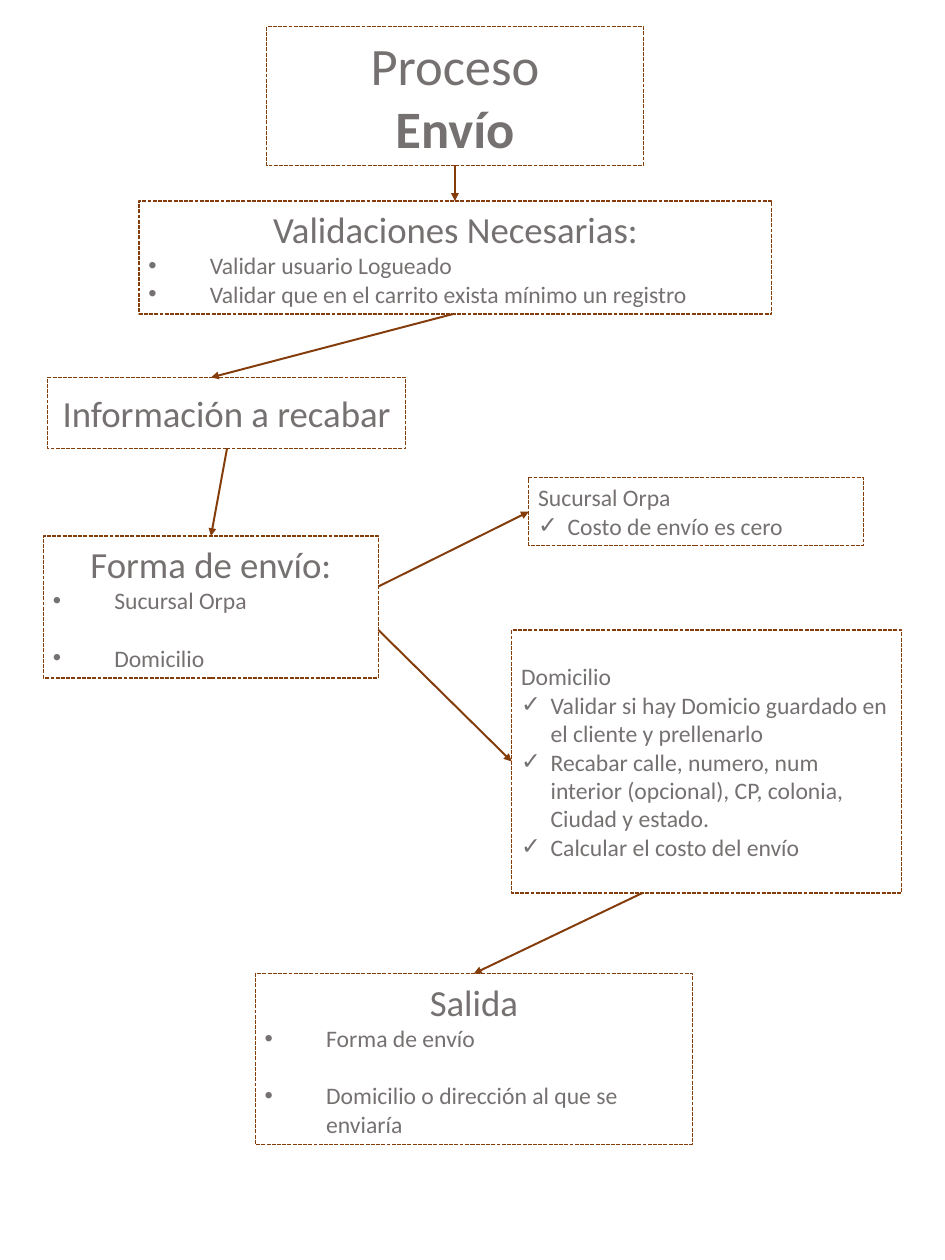
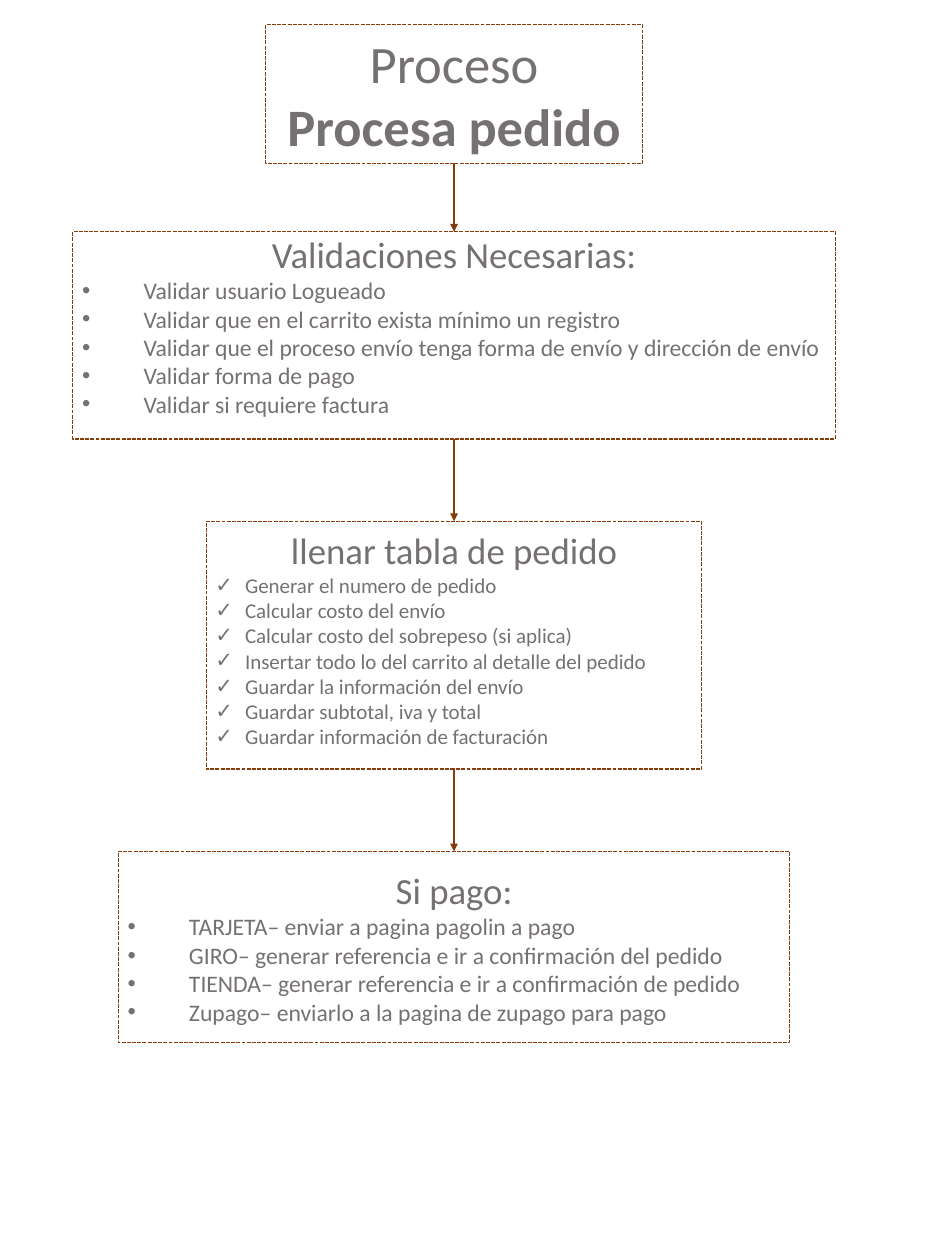
from lxml import etree
from pptx import Presentation
from pptx.dml.color import RGBColor
from pptx.enum.dml import MSO_LINE
from pptx.enum.shapes import MSO_CONNECTOR, MSO_SHAPE
from pptx.enum.text import MSO_ANCHOR, PP_ALIGN
from pptx.oxml.ns import qn
from pptx.util import Pt

RECTANGLE = MSO_SHAPE.RECTANGLE
STRAIGHT = MSO_CONNECTOR.STRAIGHT
DASH = MSO_LINE.SQUARE_DOT
MIDDLE = MSO_ANCHOR.MIDDLE
LEFT, CENTER = PP_ALIGN.LEFT, PP_ALIGN.CENTER

BROWN = RGBColor.from_string("843C0B")
GRAY = RGBColor.from_string("767171")
FONT = "Calibri"
INSET = 3.6
BLANK_LINE = 22
TITLE_WIDTH, TITLE_HEIGHT = 286.6, 106

# style: size, bold, alignment, bullet, indent, space before
STYLES = {
    "title": (40, False, CENTER, None, 0, 0),
    "name": (40, True, CENTER, None, 0, 0),
    "heading": (28, False, CENTER, None, 0, 0),
    "plain": (18, False, LEFT, None, 0, 0),
    "dot": (18, False, LEFT, "•", 46.8, 0),
    "spaced dot": (18, False, LEFT, "•", 46.8, BLANK_LINE),
    "check": (18, False, LEFT, "✓", 22.5, 0),
    "small check": (16, False, LEFT, "✓", 22.5, 0),
}


def add_box(page, left, top, width, height, lines, room_below=0):
    """Add a dashed box; room_below is free space kept under its text."""
    box = page.shapes.add_shape(RECTANGLE, Pt(left), Pt(top), Pt(width), Pt(height))
    box.shadow.inherit = False
    box.fill.background()
    box.line.color.rgb = BROWN
    box.line.width = Pt(1)
    box.line.dash_style = DASH
    frame = box.text_frame
    frame.word_wrap = True
    frame.vertical_anchor = MIDDLE
    frame.margin_bottom = Pt(INSET + room_below)
    for number, (style, text) in enumerate(lines):
        size, bold, alignment, bullet, indent, before = STYLES[style]
        para = frame.add_paragraph() if number else frame.paragraphs[0]
        para.alignment = alignment
        para.space_before = Pt(before)
        if bullet:
            properties = para._p.get_or_add_pPr()
            properties.set("marL", str(Pt(indent)))
            properties.set("indent", str(-Pt(indent)))
            etree.SubElement(properties, qn("a:buFont")).set("typeface", "Arial")
            etree.SubElement(properties, qn("a:buChar")).set("char", bullet)
        span = para.add_run()
        span.text = text
        span.font.name = FONT
        span.font.size = Pt(size)
        span.font.bold = bold
        span.font.color.rgb = GRAY


def add_arrow(page, x1, y1, x2, y2):
    arrow = page.shapes.add_connector(STRAIGHT, Pt(x1), Pt(y1), Pt(x2), Pt(y2))
    arrow.line.color.rgb = BROWN
    arrow.line.width = Pt(1.5)
    etree.SubElement(arrow.line._get_or_add_ln(), qn("a:tailEnd")).set("type", "triangle")
    etree.SubElement(arrow._element.spPr, qn("a:effectLst"))


deck = Presentation()
deck.slide_width = Pt(719.3)
deck.slide_height = Pt(959)
blank = deck.slide_layouts[6]

# Shipping process
shipping = deck.slides.add_slide(blank)
shipping_boxes = [
    (203, 20, TITLE_WIDTH, TITLE_HEIGHT, [("title", "Proceso"), ("name", "Envío")]),
    (105.8, 153, 481.7, 86, [
        ("heading", "Validaciones Necesarias:"),
        ("dot", "Validar usuario Logueado"),
        ("dot", "Validar que en el carrito exista mínimo un registro"),
    ]),
    (36, 287.3, 272.9, 54, [("heading", "Información a recabar")]),
    (33.1, 408, 254.9, 108, [
        ("heading", "Forma de envío:"),
        ("dot", "Sucursal Orpa"),
        ("spaced dot", "Domicilio"),
    ]),
    (402.5, 363.5, 254.9, 51.5, [
        ("plain", "Sucursal Orpa"),
        ("check", "Costo de envío es cero"),
    ]),
    (389.5, 479.5, 296.6, 200.2, [
        ("plain", "Domicilio"),
        ("check", "Validar si hay Domicio guardado en el cliente y prellenarlo"),
        ("check", "Recabar calle, numero, num interior (opcional), CP, colonia, Ciudad y estado."),
        ("check", "Calcular el costo del envío"),
    ]),
    (194.4, 741, 332.6, 130, [
        ("heading", "Salida"),
        ("dot", "Forma de envío"),
        ("spaced dot", "Domicilio o dirección al que se enviaría"),
    ]),
]
for left, top, width, height, lines in shipping_boxes:
    add_box(shipping, left, top, width, height, lines)

shipping_arrows = [
    (346.3, 126, 346.3, 153),
    (344.9, 239, 160.6, 287.3),
    (172.8, 341.3, 160.6, 408),
    (288, 446.4, 402.5, 389.5),
    (288, 479.5, 389.5, 579.6),
    (488.9, 679.7, 360.7, 741),
]
for ends in shipping_arrows:
    add_arrow(shipping, *ends)

# Order process: one column, every box centred on the same axis
order = deck.slides.add_slide(blank)
order_steps = [
    (18.6, TITLE_WIDTH, TITLE_HEIGHT, 0, [("title", "Proceso"), ("name", "Procesa pedido")]),
    (176.4, 580.3, 157.7, 16, [
        ("heading", "Validaciones Necesarias:"),
        ("dot", "Validar usuario Logueado"),
        ("dot", "Validar que en el carrito exista mínimo un registro"),
        ("dot", "Validar que el proceso envío tenga forma de envío y dirección de envío"),
        ("dot", "Validar forma de pago"),
        ("dot", "Validar si requiere factura"),
    ]),
    (396.7, 377.3, 188.6, 10, [
        ("heading", "llenar tabla de pedido"),
        ("small check", "Generar el numero de pedido"),
        ("small check", "Calcular costo del envío"),
        ("small check", "Calcular costo del sobrepeso (si aplica)"),
        ("small check", "Insertar todo lo del carrito al detalle del pedido"),
        ("small check", "Guardar la información del envío"),
        ("small check", "Guardar subtotal, iva y total"),
        ("small check", "Guardar información de facturación"),
    ]),
    (648, 511.2, 145.4, 0, [
        ("heading", "Si pago:"),
        ("dot", "TARJETA– enviar a pagina pagolin a pago"),
        ("dot", "GIRO– generar referencia e ir a confirmación del pedido"),
        ("dot", "TIENDA– generar referencia e ir a confirmación de pedido"),
        ("dot", "Zupago– enviarlo a la pagina de zupago para pago"),
    ]),
]
AXIS = 345.6
bottom = None
for top, width, height, room_below, lines in order_steps:
    if bottom is not None:
        add_arrow(order, AXIS, bottom, AXIS, top)
    add_box(order, AXIS - width / 2, top, width, height, lines, room_below)
    bottom = top + height

deck.save("out.pptx")
